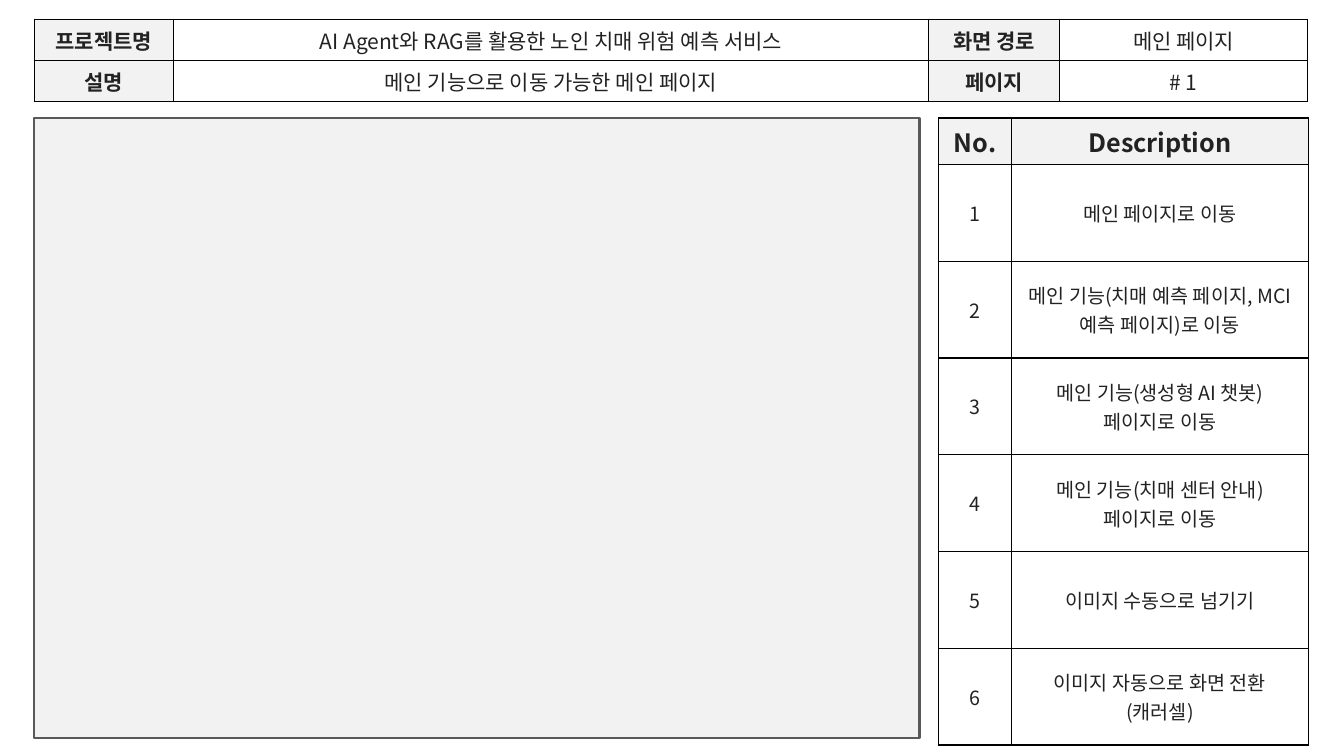
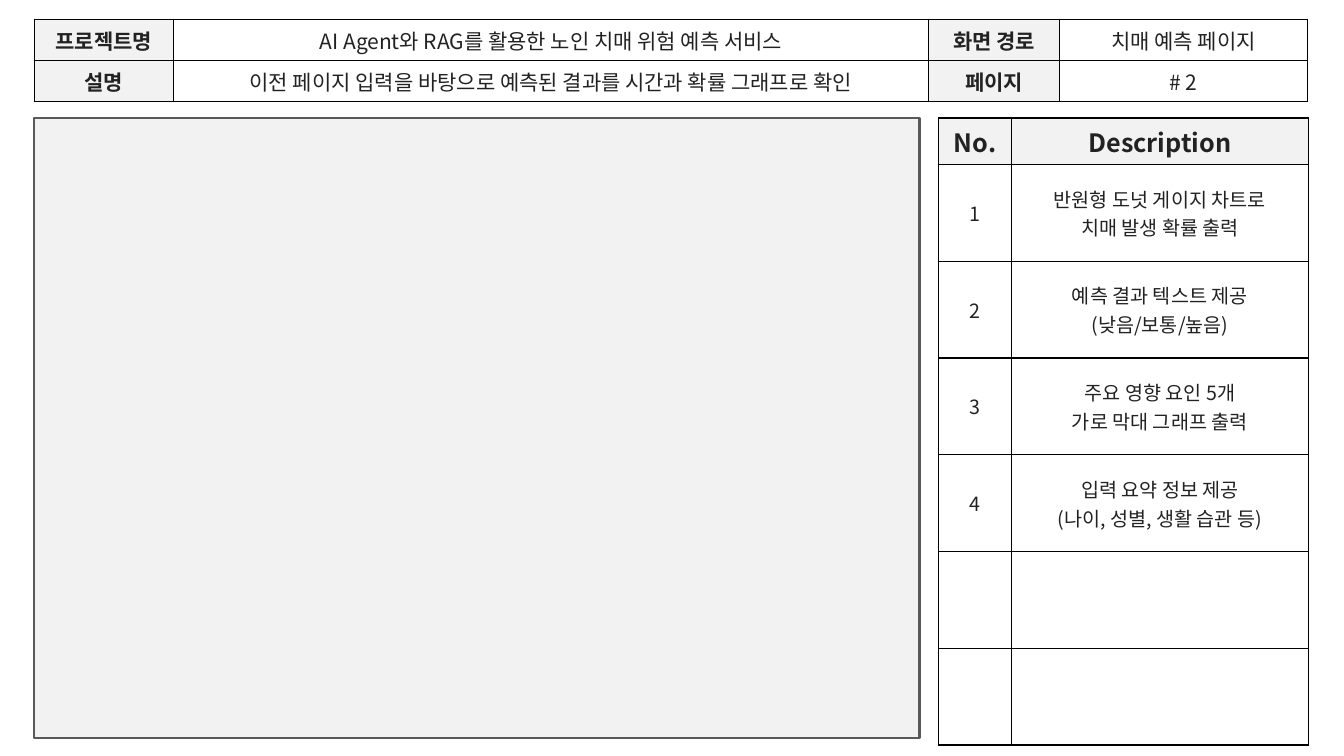
from dataclasses import dataclass

from lxml.etree import SubElement
from pptx import Presentation
from pptx.dml.color import RGBColor
from pptx.enum.shapes import MSO_SHAPE
from pptx.enum.text import MSO_ANCHOR, PP_ALIGN
from pptx.oxml.ns import qn
from pptx.slide import Slide
from pptx.table import Table, _Cell
from pptx.util import Inches, Pt

FONT = "Noto Sans CJK KR"
INK = RGBColor(0x22, 0x22, 0x22)
BLACK = RGBColor(0x00, 0x00, 0x00)
WHITE = RGBColor(0xFF, 0xFF, 0xFF)
LIGHT_GRAY = RGBColor(0xF2, 0xF2, 0xF2)
FRAME_GRAY = RGBColor(0x59, 0x59, 0x59)

LEFT = 0.34
HEADER_TOP = 0.19
BODY_TOP = 1.17
DESCRIPTION_LEFT = 9.31
FRAME_WIDTH, FRAME_HEIGHT = 8.78, 6.15
HEADER_COLUMNS = [1.38, 7.49, 1.3, 2.46]
HEADER_ROWS = [0.41] * 2
DESCRIPTION_COLUMNS = [0.72, 2.95]
DESCRIPTION_COUNT = 6
DESCRIPTION_ROWS = [0.42] + [0.96] * DESCRIPTION_COUNT
PROJECT = "AI Agent와 RAG를 활용한 노인 치매 위험 예측 서비스"


@dataclass(frozen=True)
class Screen:
    route: str
    summary: str
    descriptions: list[str]


SCREENS = [
    Screen(
        "메인 페이지",
        "메인 기능으로 이동 가능한 메인 페이지",
        [
            "메인 페이지로 이동",
            "메인 기능(치매 예측 페이지, MCI 예측 페이지)로 이동",
            "메인 기능(생성형 AI 챗봇)\n페이지로 이동",
            "메인 기능(치매 센터 안내)\n페이지로 이동",
            "이미지 수동으로 넘기기",
            "이미지 자동으로 화면 전환\n(캐러셀)",
        ],
    ),
    Screen(
        "치매 예측 페이지",
        "이전 페이지 입력을 바탕으로 예측된 결과를 시간과 확률 그래프로 확인",
        [
            "반원형 도넛 게이지 차트로\n치매 발생 확률 출력",
            "예측 결과 텍스트 제공\n(낮음/보통/높음)",
            "주요 영향 요인 5개\n가로 막대 그래프 출력",
            "입력 요약 정보 제공\n(나이, 성별, 생활 습관 등)",
        ],
    ),
]


def add_borders(cell: _Cell) -> None:
    properties = cell._tc.get_or_add_tcPr()
    for side in ("a:lnL", "a:lnR", "a:lnT", "a:lnB"):
        line = SubElement(properties, qn(side), w=str(Pt(1)))
        fill = SubElement(line, qn("a:solidFill"))
        SubElement(fill, qn("a:srgbClr"), val=str(BLACK))


def fill_cell(cell: _Cell, text: str, size: int, is_label: bool) -> None:
    """Write a bordered, centred cell; labels are bold on gray."""
    add_borders(cell)
    cell.fill.solid()
    cell.fill.fore_color.rgb = LIGHT_GRAY if is_label else WHITE
    cell.vertical_anchor = MSO_ANCHOR.MIDDLE
    cell.text_frame.text = text
    for paragraph in cell.text_frame.paragraphs:
        paragraph.alignment = PP_ALIGN.CENTER
        for run in paragraph.runs:
            run.font.size = Pt(size)
            run.font.bold = is_label
            run.font.color.rgb = INK
            run.font.name = FONT
            SubElement(run.font._element, qn("a:ea"), typeface=FONT)


def add_grid(slide: Slide, left: float, top: float,
             columns: list[float], rows: list[float]) -> Table:
    """Add an empty table without the banded style."""
    table = slide.shapes.add_table(
        len(rows), len(columns), Inches(left), Inches(top),
        Inches(sum(columns)), Inches(sum(rows)),
    ).table
    table.first_row = False
    table.horz_banding = False
    for column, width in zip(table.columns, columns):
        column.width = Inches(width)
    for row, height in zip(table.rows, rows):
        row.height = Inches(height)
    return table


def add_header(slide: Slide, screen: Screen, number: int) -> None:
    table = add_grid(slide, LEFT, HEADER_TOP, HEADER_COLUMNS, HEADER_ROWS)
    contents = [
        ["프로젝트명", PROJECT, "화면 경로", screen.route],
        ["설명", screen.summary, "페이지", f"# {number}"],
    ]
    for row, texts in enumerate(contents):
        for column, text in enumerate(texts):
            fill_cell(table.cell(row, column), text, 15, column % 2 == 0)


def add_descriptions(slide: Slide, descriptions: list[str]) -> None:
    table = add_grid(slide, DESCRIPTION_LEFT, BODY_TOP,
                     DESCRIPTION_COLUMNS, DESCRIPTION_ROWS)
    contents = [("No.", "Description")]
    contents += [(str(number), text) for number, text in enumerate(descriptions, 1)]
    contents += [("", "")] * (DESCRIPTION_COUNT - len(descriptions))
    for row, texts in enumerate(contents):
        is_heading = row == 0
        for column, text in enumerate(texts):
            fill_cell(table.cell(row, column), text, 18 if is_heading else 14, is_heading)


def add_screen_frame(slide: Slide) -> None:
    shape = slide.shapes.add_shape(
        MSO_SHAPE.RECTANGLE, Inches(LEFT), Inches(BODY_TOP),
        Inches(FRAME_WIDTH), Inches(FRAME_HEIGHT),
    )
    shape.shadow.inherit = False
    shape.fill.solid()
    shape.fill.fore_color.rgb = LIGHT_GRAY
    shape.line.color.rgb = FRAME_GRAY
    shape.line.width = Pt(1.5)


def main() -> None:
    presentation = Presentation()
    presentation.slide_width = Inches(13.33)
    presentation.slide_height = Inches(7.5)
    blank_layout = presentation.slide_layouts[6]
    for number, screen in enumerate(SCREENS, 1):
        slide = presentation.slides.add_slide(blank_layout)
        add_header(slide, screen, number)
        add_descriptions(slide, screen.descriptions)
        add_screen_frame(slide)
    presentation.save("out.pptx")


if __name__ == "__main__":
    main()
